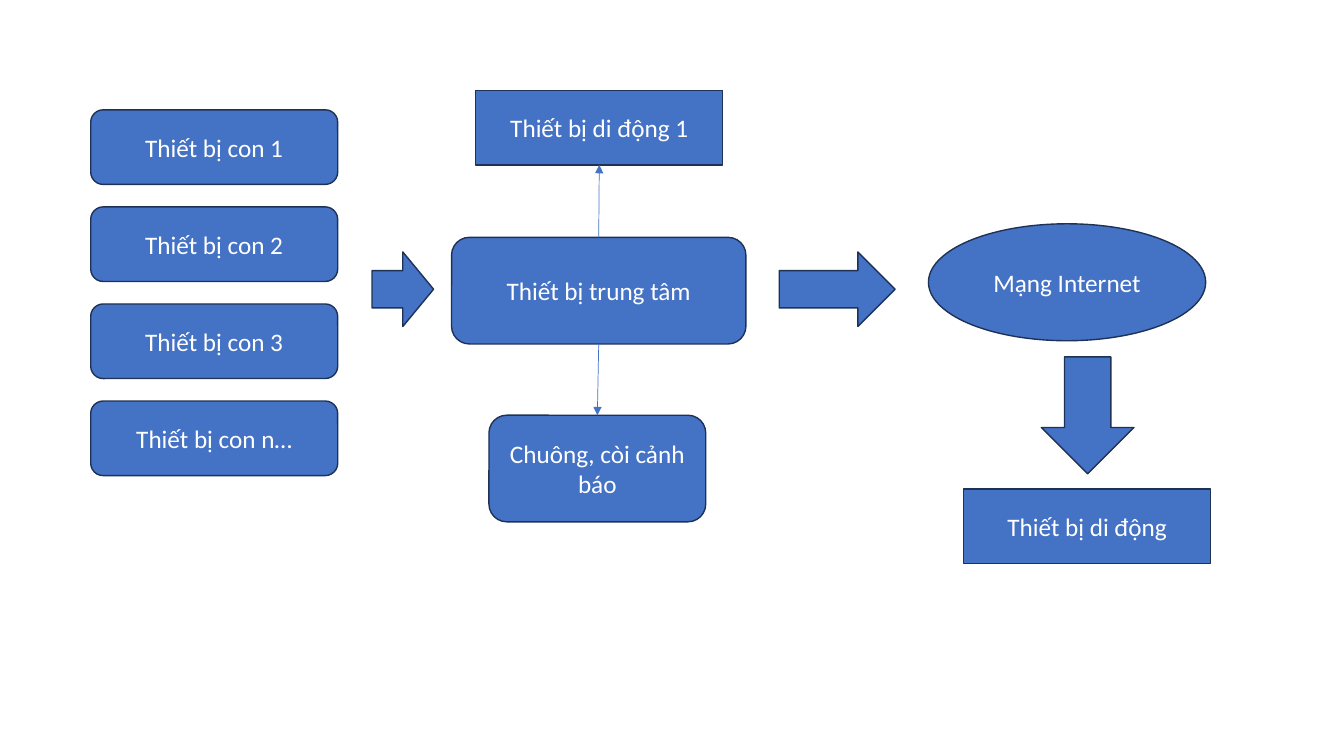
from pptx import Presentation
from pptx.dml.color import RGBColor
from pptx.enum.shapes import MSO_CONNECTOR, MSO_SHAPE as Shape
from pptx.enum.text import MSO_ANCHOR, PP_ALIGN
from pptx.oxml.ns import qn
from pptx.util import Inches, Pt
from lxml import etree

BLUE = RGBColor(0x44, 0x72, 0xC4)
NAVY = RGBColor(0x1E, 0x32, 0x56)
WHITE = RGBColor(0xFF, 0xFF, 0xFF)
FONT = {"name": "Calibri", "size": Pt(18)}

deck = Presentation()
deck.slide_width, deck.slide_height = Inches(13.33), Inches(7.5)
page = deck.slides.add_slide(deck.slide_layouts[6])

# Sizes and places are percentages of the slide's width and height
DEVICE_SIZE = (18.38, 9.87)
CHILD_LEFT, CHILD_TOP, CHILD_PITCH = 6.75, 14.53, 12.84
ARROW_TOP = 33.33


def add_node(kind, left, top, width, height, text=""):
    """Add a blue shape, with centred white text if any is given."""
    across, down = deck.slide_width / 100, deck.slide_height / 100
    box = page.shapes.add_shape(kind, int(left * across), int(top * down),
                                int(width * across), int(height * down))
    box.shadow.inherit = False
    box.fill.solid()
    box.fill.fore_color.rgb = BLUE
    box.line.color.rgb = NAVY
    box.line.width = Pt(1)
    if text:
        frame = box.text_frame
        frame.word_wrap = True
        frame.vertical_anchor = MSO_ANCHOR.MIDDLE
        para = frame.paragraphs[0]
        para.alignment = PP_ALIGN.CENTER
        span = para.add_run()
        span.text = text
        for name, value in FONT.items():
            setattr(span.font, name, value)
        span.font.color.rgb = WHITE
    return box


def add_thin_arrow(start, start_site, end, end_site):
    """Join two shapes at their connection sites with a thin arrow."""
    link = page.shapes.add_connector(MSO_CONNECTOR.STRAIGHT, 0, 0, 0, 0)
    link.begin_connect(start, start_site)
    link.end_connect(end, end_site)
    link.line.color.rgb = BLUE
    link.line.width = Pt(0.5)
    etree.SubElement(link.line._get_or_add_ln(), qn("a:tailEnd"), type="triangle")
    etree.SubElement(link._element.spPr, qn("a:effectLst"))


for row, label in enumerate(("1", "2", "3", "n…")):
    add_node(Shape.ROUNDED_RECTANGLE, CHILD_LEFT, CHILD_TOP + row * CHILD_PITCH,
             *DEVICE_SIZE, f"Thiết bị con {label}")

hub = add_node(Shape.ROUNDED_RECTANGLE, 33.6, 31.4, 21.9, 14.1, "Thiết bị trung tâm")
alarm = add_node(Shape.ROUNDED_RECTANGLE, 36.38, 54.93, 16.13, 14.1,
                 "Chuông, còi cảnh báo")
local_mobile = add_node(Shape.RECTANGLE, 35.4, 11.95, *DEVICE_SIZE, "Thiết bị di động 1")
add_node(Shape.OVAL, 69.08, 29.6, 20.63, 15.47, "Mạng Internet")
add_node(Shape.RECTANGLE, 71.7, 64.67, *DEVICE_SIZE, "Thiết bị di động")

for left, width in ((27.68, 4.58), (57.98, 8.63)):
    add_node(Shape.RIGHT_ARROW, left, ARROW_TOP, width, DEVICE_SIZE[1])
add_node(Shape.DOWN_ARROW, 77.48, 47.2, 6.9, 15.47)

TOP_SITE, BOTTOM_SITE = 0, 2
add_thin_arrow(hub, TOP_SITE, local_mobile, BOTTOM_SITE)
add_thin_arrow(hub, BOTTOM_SITE, alarm, TOP_SITE)

deck.save("out.pptx")
